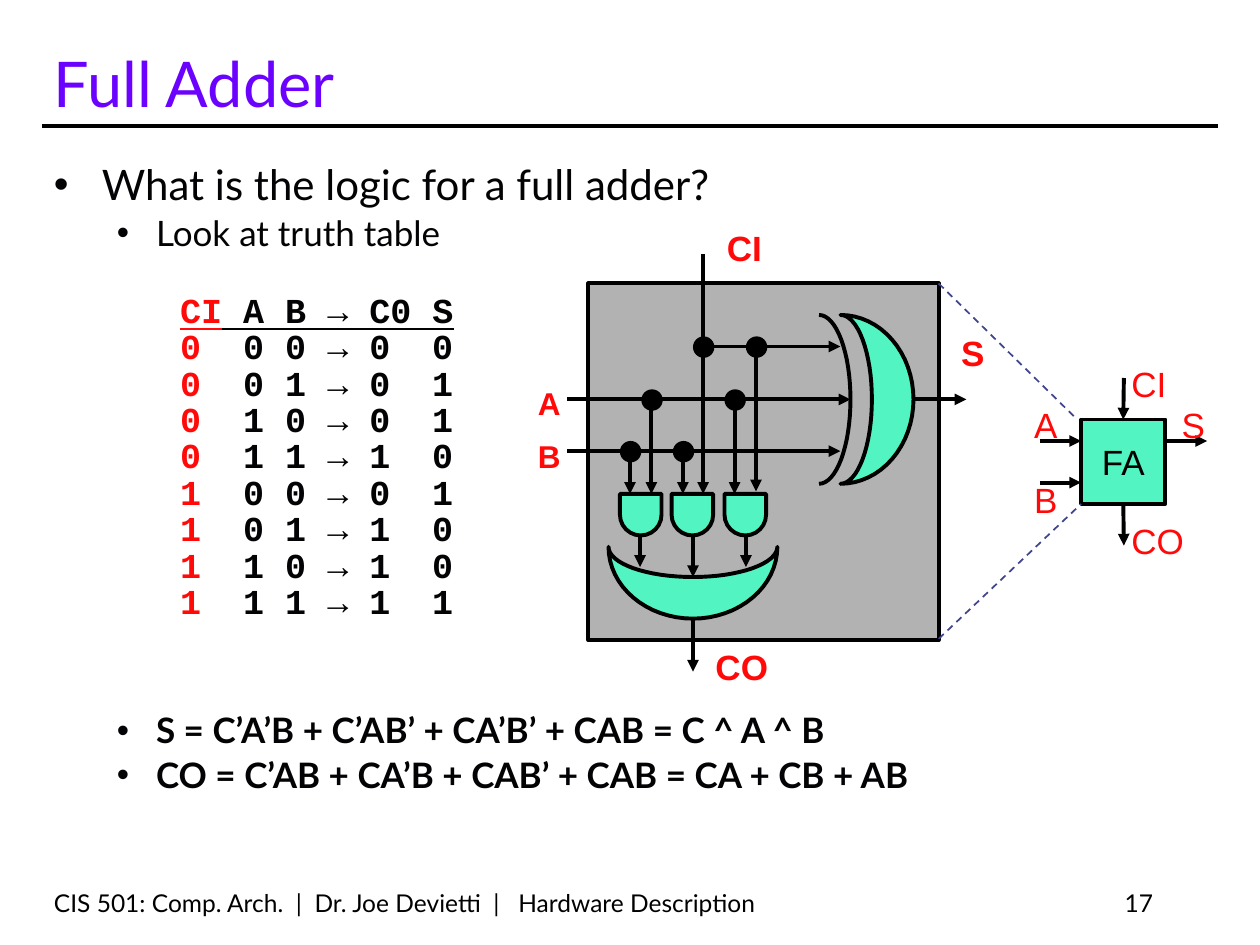
from math import cos, pi, sin

from lxml.etree import SubElement
from pptx import Presentation
from pptx.dml.color import RGBColor
from pptx.enum.dml import MSO_LINE
from pptx.enum.shapes import MSO_CONNECTOR, MSO_SHAPE as Kind
from pptx.enum.text import MSO_ANCHOR as Anchor, PP_ALIGN as Align
from pptx.oxml.ns import qn
from pptx.util import Inches, Pt

BLACK = RGBColor(0, 0, 0)
INK = RGBColor(0x03, 0x03, 0x05)
RED = RGBColor(0xFF, 0x09, 0x09)
PURPLE = RGBColor(0x6B, 0x02, 0xFF)
GREEN = RGBColor(0x52, 0xF4, 0xC2)
GREY = RGBColor(0xB2, 0xB2, 0xB2)
BLUE = RGBColor(0x40, 0x45, 0x8C)

deck = Presentation()
deck.slide_width, deck.slide_height = Inches(10), Inches(7.5)
slide = deck.slides.add_slide(deck.slide_layouts[6])
shapes = slide.shapes


def write(text, box, size, color, face="Arial", bold=False, wrap=False,
          anchor=Anchor.TOP, align=Align.LEFT):
    """Add a text box with one paragraph."""
    frame = shapes.add_textbox(*map(Inches, box)).text_frame
    frame.word_wrap = wrap
    frame.vertical_anchor = anchor
    para = frame.paragraphs[0]
    para.text = text
    para.alignment = align
    font = para.font
    font.name, font.size, font.bold = face, Pt(size), bold
    font.color.rgb = color


def draw(points, arrow=False, color=BLACK, width=2.25, fill=None, dash=None):
    """Draw a line through points, closed when it has a fill."""
    spots = [(Inches(x), Inches(y)) for x, y in points]
    if len(spots) == 2:
        shape = shapes.add_connector(MSO_CONNECTOR.STRAIGHT, *spots[0], *spots[1])
    else:
        path = shapes.build_freeform(*spots[0])
        path.add_line_segments(spots[1:], close=fill is not None)
        shape = path.convert_to_shape()
        if fill is None:
            shape.fill.background()
        else:
            shape.fill.solid()
            shape.fill.fore_color.rgb = fill
    shape.line.color.rgb = color
    shape.line.width = Pt(width)
    if dash:
        shape.line.dash_style = dash
    if arrow:
        SubElement(shape.line._ln, qn("a:tailEnd"), type="triangle")
    SubElement(shape._element.spPr, qn("a:effectLst"))
    return shape


# Title, rule and footer
draw([(0.33, 1), (9.67, 1)])
write("CIS 501: Comp. Arch.  |  Dr. Joe Devietti  |   Hardware Description",
      (0.33, 7, 6.25, 0.33), 14, BLACK, "Lato", wrap=True, anchor=Anchor.BOTTOM)
write("17", (7.17, 7, 2.08, 0.33), 14, BLACK, "Lato", wrap=True,
      anchor=Anchor.BOTTOM, align=Align.RIGHT)
write("Full Adder", (0.33, 0.25, 8.83, 0.75), 36, PURPLE, "Lato", wrap=True,
      anchor=Anchor.BOTTOM)

# Bullets: text, level, size, bold, space before
BULLETS = [
    ("What is the logic for a full adder?", 0, 24, False, 0),
    ("Look at truth table", 1, 20, False, 4),
    ("S = C’A’B + C’AB’ + CA’B’ + CAB = C ^ A ^ B", 1, 20, True, 262.5),
    ("CO = C’AB + CA’B + CAB’ + CAB = CA + CB + AB", 1, 20, True, 4),
]
INDENTS = [(0.38, -0.38), (0.81, -0.31)]
body = shapes.add_textbox(Inches(0.33), Inches(1.25), Inches(8.58), Inches(5.58)).text_frame
body.word_wrap = True
for i, (text, level, size, bold, gap) in enumerate(BULLETS):
    para = body.add_paragraph() if i else body.paragraphs[0]
    para.text = text
    para.level = level
    para.line_spacing, para.space_before = 0.9, Pt(gap)
    props = para._p.get_or_add_pPr()
    left, hang = INDENTS[level]
    props.set("marL", str(Inches(left)))
    props.set("indent", str(Inches(hang)))
    SubElement(SubElement(props, qn("a:buClr")), qn("a:srgbClr"), val=str(INK))
    SubElement(props, qn("a:buFont"), typeface="Arial")
    SubElement(props, qn("a:buChar"), char="•")
    font = para.font
    font.name, font.size, font.bold = "Lato", Pt(size), bold
    font.color.rgb = INK

# Truth table, worked out from the sum of the three inputs
rows = [("CI", " A B ", "→", " C0 S")]
for n in range(8):
    ci, a, b = n >> 2, n >> 1 & 1, n & 1
    total = ci + a + b
    rows.append((f"{ci}", f"\t{a} {b} ", "→", f" {total >> 1}\t{total & 1}"))
truth = shapes.add_textbox(Inches(1.43), Inches(2.38), Inches(2.4), Inches(2.6)).text_frame
truth.word_wrap = True
truth.margin_left = truth.margin_right = truth.margin_top = truth.margin_bottom = 0
for i, row in enumerate(rows):
    para = truth.add_paragraph() if i else truth.paragraphs[0]
    para.line_spacing, para.space_before = 0.7, Pt(4 if i else 0)
    tabs = SubElement(para._p.get_or_add_pPr(), qn("a:tabLst"))
    for stop in (0.5, 2):
        SubElement(tabs, qn("a:tab"), pos=str(Inches(stop)), algn="l")
    para.font.name, para.font.size = "Courier New", Pt(20)
    for j, text in enumerate(row):
        run = para.add_run()
        run.text = text
        run.font.bold = text != "→"
        run.font.underline = i == 0
        run.font.color.rgb = RED if j == 0 else INK

# Boxes and AND gates: kind, place, fill, rotation
solids = []
for kind, place, fill, turn in [
    (Kind.RECTANGLE, (8.58, 3.33, 0.67, 0.67), GREEN, 0),
    (Kind.RECTANGLE, (4.67, 2.25, 2.78, 2.83), GREY, 0),
    *[(Kind.FLOWCHART_DELAY, (x, 3.92, 0.33, 0.33), GREEN, 90) for x in (4.92, 5.33, 5.75)],
]:
    solid = shapes.add_shape(kind, *map(Inches, place))
    solid.shadow.inherit = False
    solid.rotation = turn
    solid.fill.solid()
    solid.fill.fore_color.rgb = fill
    solid.line.color.rgb = BLACK
    solid.line.width = Pt(2.25)
    solids.append(solid)

# Full adder symbol
adder = solids[0]
frame = adder.text_frame
frame.word_wrap = False
frame.vertical_anchor = Anchor.MIDDLE
para = frame.paragraphs[0]
para.text = "FA"
para.alignment = Align.CENTER
para.font.name, para.font.size = "Arial", Pt(20)
para.font.color.rgb = BLACK
for x, y in [(8.25, 3.5), (8.25, 3.83), (9.25, 3.5)]:
    draw([(x, y), (x + 0.33, y)], arrow=True)
draw([(8.92, 3), (8.92, 3.33)], arrow=True).end_connect(adder, 0)
draw([(8.92, 4), (8.92, 4.33)], arrow=True).begin_connect(adder, 2)

# OR and XOR gates: crescents between two half ellipses
arc = [(sin(pi * k / 32), cos(pi * k / 32)) for k in range(33)]
draw([(5.5 + 0.67 * v, 4.34 + 0.57 * u) for u, v in arc]
     + [(5.5 + 0.67 * v, 4.34 + 0.24 * u) for u, v in reversed(arc)], fill=GREEN)
draw([(6.67 + 0.58 * u, 3.17 + 0.67 * v) for u, v in arc]
     + [(6.67 + 0.25 * u, 3.17 + 0.67 * v) for u, v in reversed(arc)], fill=GREEN)
draw([(6.5 + 0.25 * u, 3.17 + 0.67 * v) for u, v in arc])

# Wires inside the adder
for left, x, y in [(4.5, 5, 3.58), (4.5, 5.17, 3.17), (4.92, 5.42, 3.58), (5.08, 5.83, 3.17)]:
    draw([(left, y), (x, y), (x, 3.92)], arrow=True)
for x, top, bottom in [(5.08, 4.25, 4.5), (5.5, 4.25, 4.58), (5.92, 4.25, 4.5),
                       (5.5, 4.91, 5.33), (5.58, 2.02, 3.92), (6, 2.75, 3.9)]:
    draw([(x, top), (x, bottom)], arrow=True)
for left, right, y in [(5.58, 6.67, 2.75), (5.83, 6.75, 3.17), (5.42, 6.67, 3.58),
                       (7.25, 7.67, 3.17)]:
    draw([(left, y), (right, y)], arrow=True)
for x, y in [(5.58, 2.75), (6, 2.75), (5.17, 3.17), (5.83, 3.17), (5, 3.58), (5.42, 3.58)]:
    dot = shapes.add_shape(Kind.FLOWCHART_CONNECTOR, Inches(x - 0.08), Inches(y - 0.08),
                           Inches(0.17), Inches(0.17))
    dot.shadow.inherit = False
    dot.fill.solid()
    dot.fill.fore_color.rgb = BLACK
    dot.line.fill.background()

# Signal names: text, left, top, width, size, bold
for text, x, y, width, size, bold in [
    ("A", 4.17, 3, 0.38, 18, True), ("B", 4.17, 3.42, 0.38, 18, True),
    ("S", 7.53, 2.58, 0.39, 20, True), ("CI", 5.67, 1.75, 0.48, 20, True),
    ("CO", 5.58, 5.07, 0.62, 20, True), ("A", 8.11, 3.15, 0.39, 20, False),
    ("B", 8.11, 3.75, 0.39, 20, False), ("S", 9.28, 3.15, 0.39, 20, False),
    ("CI", 8.88, 2.83, 0.48, 20, False), ("CO", 8.88, 4.07, 0.62, 20, False),
]:
    write(text, (x, y, width, 0.43), size, RED, bold=bold)

# Zoom lines between the adder and its symbol
for ends in [((7.45, 5.07), (8.58, 4)), ((7.45, 2.25), (8.55, 3.33))]:
    draw(ends, color=BLUE, width=1, dash=MSO_LINE.DASH)

deck.save("out.pptx")
